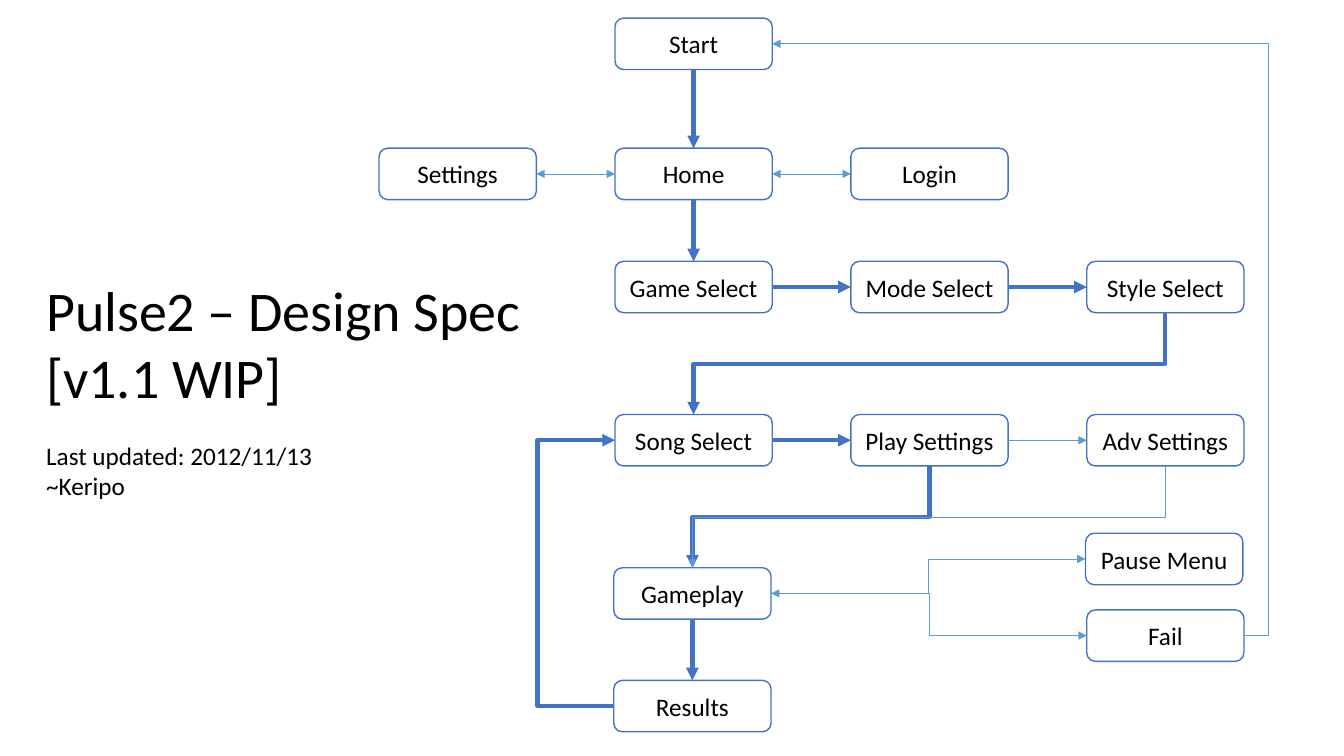
from pptx import Presentation
from pptx.dml.color import RGBColor
from pptx.enum.shapes import MSO_CONNECTOR, MSO_SHAPE
from pptx.enum.text import MSO_ANCHOR, PP_ALIGN
from pptx.oxml.ns import qn
from pptx.util import Inches, Pt
from lxml.etree import SubElement

BLUE, LIGHT, WHITE, BLACK = "4472C4", "5B9BD5", "FFFFFF", "000000"
TOP, LEFT, BOTTOM, RIGHT = range(4)
COLUMNS, ROWS = 3.77, 13.88

NODES = {
    "Start": (1, 0), "Home": (1, 2.53), "Settings": (0, 2.53), "Login": (2, 2.53),
    "Game Select": (1, 4.73), "Mode Select": (2, 4.73), "Style Select": (3, 4.73),
    "Song Select": (1, 7.71), "Play Settings": (2, 7.71), "Adv Settings": (3, 7.71),
    "Gameplay": (0.995, 10.69), "Results": (0.995, 12.88),
    "Pause Menu": (2.995, 10.02), "Fail": (3, 11.51),
}
MAIN_FLOW = [
    ("Start", BOTTOM, "Home", TOP),
    ("Home", BOTTOM, "Game Select", TOP),
    ("Game Select", RIGHT, "Mode Select", LEFT),
    ("Mode Select", RIGHT, "Style Select", LEFT),
    ("Style Select", BOTTOM, "Song Select", TOP),
    ("Song Select", RIGHT, "Play Settings", LEFT),
    ("Play Settings", BOTTOM, "Gameplay", TOP),
    ("Gameplay", BOTTOM, "Results", TOP),
    ("Results", LEFT, "Song Select", LEFT, 0.675),
]
SIDE_FLOW = [
    ("Play Settings", RIGHT, "Adv Settings", LEFT),
    ("Adv Settings", BOTTOM, "Gameplay", TOP),
    ("Gameplay", RIGHT, "Fail", LEFT),
    ("Fail", RIGHT, "Start", RIGHT, COLUMNS),
]
TWO_WAY = [
    ("Home", LEFT, "Settings", RIGHT),
    ("Home", RIGHT, "Login", LEFT),
    ("Gameplay", RIGHT, "Pause Menu", LEFT),
]


def rgb(value):
    return RGBColor.from_string(value)


def style_runs(p, size):
    for r in p.runs:
        r.font.name = "Calibri"
        r.font.size = Pt(size)
        r.font.color.rgb = rgb(BLACK)


def add_node(slide, label, x, y, w, h):
    sp = slide.shapes.add_shape(MSO_SHAPE.FLOWCHART_ALTERNATE_PROCESS, x, y, w, h)
    sp.shadow.inherit = False
    sp.fill.solid()
    sp.fill.fore_color.rgb = rgb(WHITE)
    sp.line.color.rgb = rgb(BLUE)
    sp.line.width = Pt(1)
    tf = sp.text_frame
    tf.text = label
    tf.vertical_anchor = MSO_ANCHOR.MIDDLE
    p = tf.paragraphs[0]
    p.alignment = PP_ALIGN.CENTER
    style_runs(p, 18)
    return sp


def site(sp, side):
    x = sp.left + sp.width * {LEFT: 0, RIGHT: 1}.get(side, 0.5)
    y = sp.top + sp.height * {TOP: 0, BOTTOM: 1}.get(side, 0.5)
    return round(x), round(y)


def turn_down_left(cxn, x1, y1, x2, y2):
    w, h = y2 - y1, x1 - x2
    cxn.left, cxn.top = (x1 + x2 - w) // 2, (y1 + y2 - h) // 2
    cxn.width, cxn.height = w, h
    xfrm = cxn._element.spPr.find(qn("a:xfrm"))
    xfrm.attrib.clear()
    xfrm.set("rot", "5400000")


def add_link(slide, start, side, end, end_side, color, width, ends, bend=None):
    x1, y1 = site(start, side)
    x2, y2 = site(end, end_side)
    vertical = side == BOTTOM
    offset = abs(x1 - x2) if vertical else abs(y1 - y2)
    bent = offset > Inches(0.02)
    kind = MSO_CONNECTOR.ELBOW if bent else MSO_CONNECTOR.STRAIGHT
    cxn = slide.shapes.add_connector(kind, x1, y1, x2, y2)
    cxn.begin_connect(start, side)
    cxn.end_connect(end, end_side)
    if bent and vertical:
        turn_down_left(cxn, x1, y1, x2, y2)
    cxn.line.color.rgb = rgb(color)
    cxn.line.width = Pt(width)
    for tag in ends:
        SubElement(cxn.line._get_or_add_ln(), qn(tag), type="triangle")
    spPr = cxn._element.spPr
    SubElement(spPr, qn("a:effectLst"))
    if bend is not None:
        guides = spPr.find(qn("a:prstGeom")).find(qn("a:avLst"))
        share = round((bend - x1) / (x2 - x1) * 100000)
        SubElement(guides, qn("a:gd"), name="adj1", fmla=f"val {share}")


def add_flow(slide, left, top, width, height):
    col, row = width / COLUMNS, height / ROWS
    nodes = {
        label: add_node(slide, label, round(left + c * col), round(top + r * row),
                        round(col * 2 / 3), round(row))
        for label, (c, r) in NODES.items()
    }
    tail, both = ["a:tailEnd"], ["a:headEnd", "a:tailEnd"]
    for links, color, weight, ends in (
        (MAIN_FLOW, BLUE, 3, tail), (SIDE_FLOW, LIGHT, 0.5, tail),
        (TWO_WAY, LIGHT, 0.5, both),
    ):
        for start, side, end, end_side, *bend in links:
            bend_x = round(left + bend[0] * col) if bend else None
            add_link(slide, nodes[start], side, nodes[end], end_side,
                     color, weight, ends, bend_x)


def add_title(slide, left, top, width, height):
    tf = slide.shapes.add_textbox(left, top, width, height).text_frame
    tf.word_wrap = True
    lines = [("Pulse2 – Design Spec", 40, 0), ("[v1.1 WIP]", 40, 0),
             ("Last updated: 2012/11/13\v~Keripo", 18, 22)]
    for i, (text, size, gap) in enumerate(lines):
        p = tf.add_paragraph() if i else tf.paragraphs[0]
        p.text = text
        p.space_before = Pt(gap)
        style_runs(p, size)


prs = Presentation()
prs.slide_width, prs.slide_height = Inches(13.33), Inches(7.5)
slide = prs.slides.add_slide(prs.slide_layouts[6])
add_flow(slide, Inches(3.76), Inches(0.18), Inches(8.82), Inches(7.08))
add_title(slide, Inches(0.36), Inches(2.68), Inches(4.97), Inches(2.36))
prs.save("out.pptx")
